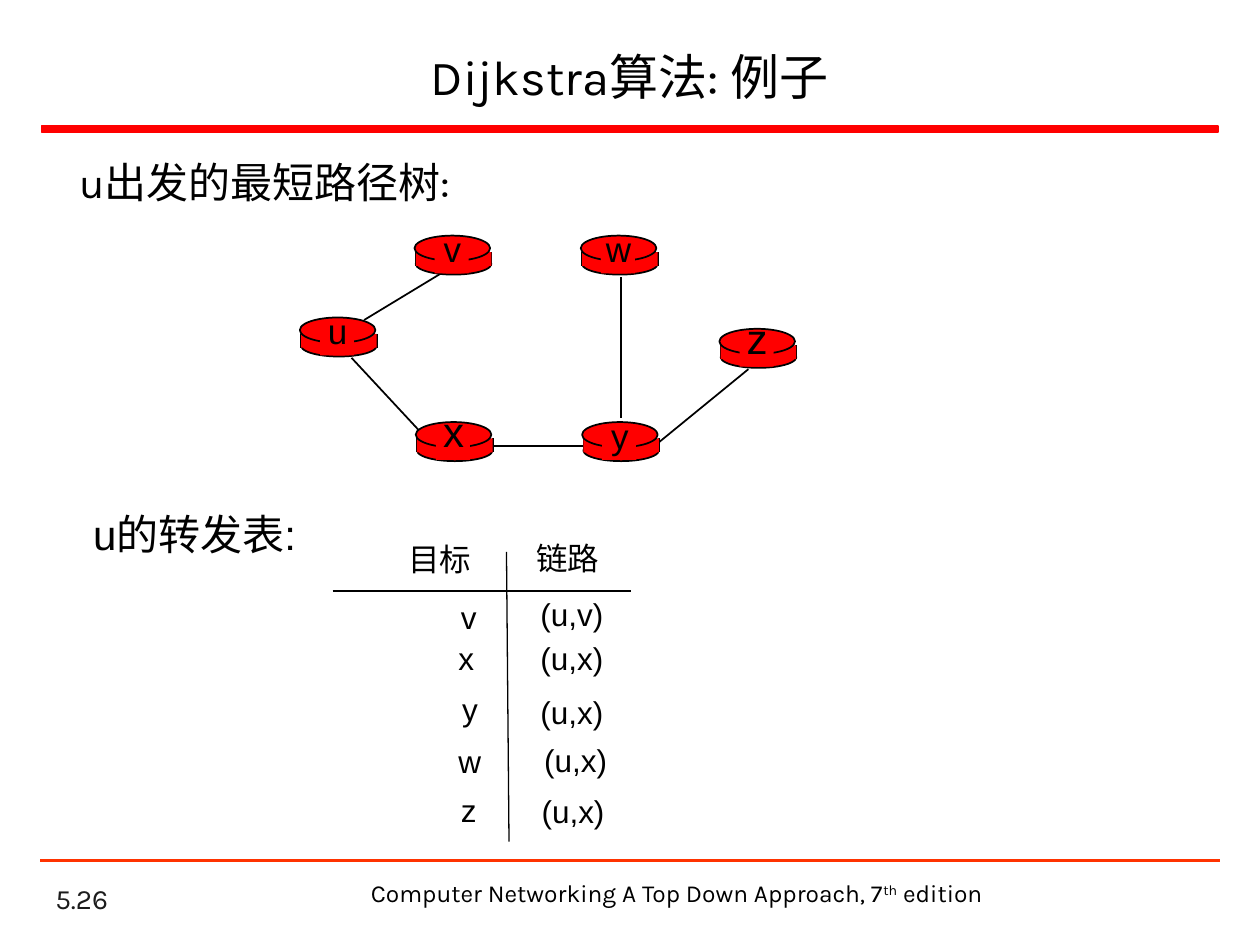
from typing import NamedTuple

from lxml import etree
from pptx import Presentation
from pptx import util as u
from pptx.dml.color import RGBColor
from pptx.enum import shapes, text
from pptx.oxml import ns

PX = 9144
BLACK = RGBColor(0x00, 0x00, 0x00)
RED = RGBColor(0xFF, 0x00, 0x00)
ORANGE = RGBColor(0xFF, 0x33, 0x00)
GRAY = RGBColor(0x1C, 0x1C, 0x1C)
RECT = shapes.MSO_SHAPE.RECTANGLE
OVAL = shapes.MSO_SHAPE.OVAL


class Box(NamedTuple):
    x: int
    y: int
    w: int
    h: int


class Line(NamedTuple):
    x1: int
    y1: int
    x2: int
    y2: int


class Router(NamedTuple):
    name: str
    x: int
    y: int
    size: int = 20


class Route(NamedTuple):
    target: str
    target_x: int
    target_y: int
    link: str
    link_x: int
    link_y: int


ROUTERS = [
    Router("u", 238, 252),
    Router("x", 330, 335, 24),
    Router("v", 329, 187),
    Router("w", 461, 187),
    Router("y", 462, 335),
    Router("z", 571, 261, 24),
]
EDGES = [
    Line(289, 254, 355, 214),
    Line(493, 220, 493, 332),
    Line(523, 351, 594, 293),
    Line(463, 354, 392, 354),
    Line(332, 341, 279, 284),
]
ROUTES = [
    Route("目标", 314, 424, "链路", 416, 423),
    Route("v", 356, 470, "(u,v)", 419, 467),
    Route("x", 354, 502, "(u,x)", 419, 502),
    Route("y", 357, 543, "(u,x)", 419, 545),
    Route("w", 354, 584, "(u,x)", 422, 583),
    Route("z", 356, 623, "(u,x)", 420, 624),
]


def emu(values: tuple) -> list:
    """Turn px lengths into EMU."""
    return [u.Emu(v * PX) for v in values]


def add_run(p, words: str, size: int, font: str, color: RGBColor = BLACK):
    """Append one formatted run."""
    r = p.add_run()
    r.text = words
    r.font.size = u.Pt(size)
    r.font.name = font
    r.font.color.rgb = color
    return r


def add_label(s, box: Box, words: str, size: int, font: str = "Arial",
              color: RGBColor = BLACK, align=text.PP_ALIGN.LEFT,
              anchor=text.MSO_ANCHOR.TOP):
    """Add a text box and return its paragraph."""
    tf = s.shapes.add_textbox(*emu(box)).text_frame
    tf.word_wrap = True
    tf.vertical_anchor = anchor
    p = tf.paragraphs[0]
    p.alignment = align
    add_run(p, words, size, font, color)
    return p


def add_solid(s, kind, box: Box, outline: RGBColor | None = None) -> None:
    """Add a red preset shape, outlined if a colour is given."""
    sp = s.shapes.add_shape(kind, *emu(box))
    sp.shadow.inherit = False
    sp.fill.solid()
    sp.fill.fore_color.rgb = RED
    if outline is None:
        sp.line.fill.background()
    else:
        sp.line.color.rgb = outline
        sp.line.width = u.Pt(1)


def add_line(s, line: Line, width: float = 1, color: RGBColor = BLACK) -> None:
    """Add a straight line without a shadow."""
    sp = s.shapes.add_connector(shapes.MSO_CONNECTOR.STRAIGHT, *emu(line))
    sp.line.color.rgb = color
    sp.line.width = u.Pt(width)
    etree.SubElement(sp._element.spPr, ns.qn("a:effectLst"))


def add_router(s, router: Router) -> None:
    """Draw a router as a flat cylinder with its name on top."""
    x, y = router.x, router.y
    add_solid(s, OVAL, Box(x + 1, y + 14, 60, 17), BLACK)
    for side in (x + 1, x + 61):
        add_line(s, Line(side, y + 13, side, y + 24))
    add_solid(s, RECT, Box(x + 1, y + 13, 60, 11))
    add_solid(s, OVAL, Box(x, y, 60, 20), BLACK)
    add_solid(s, RECT, Box(x + 16, y + 2, 27, 28))
    rise, height = (11, 44) if router.size == 20 else (18, 50)
    add_label(s, Box(x + 10, y - rise, 40, height), router.name, router.size,
              align=text.PP_ALIGN.CENTER)


def add_frame(s) -> None:
    """Fill the title and draw the rules and footer."""
    title = s.shapes.title
    title.left, title.top, title.width, title.height = emu(Box(37, 25, 925, 70))
    tf = title.text_frame
    tf.vertical_anchor = text.MSO_ANCHOR.MIDDLE
    p = tf.paragraphs[0]
    p.alignment = text.PP_ALIGN.CENTER
    add_run(p, "Dijkstra算法: 例子", 28, "Karla")
    add_solid(s, RECT, Box(33, 100, 934, 5), RED)
    add_line(s, Line(32, 683, 968, 683), 1.5, ORANGE)
    add_label(s, Box(34, 698, 208, 33), "5.26", 16, "Karla", GRAY,
              anchor=text.MSO_ANCHOR.BOTTOM)
    p = add_label(s, Box(283, 692, 508, 34),
                  "Computer Networking A Top Down Approach, 7", 14, "Karla",
                  align=text.PP_ALIGN.CENTER)
    r = add_run(p, "th", 14, "Karla")
    r.font._element.set("baseline", "30000")
    add_run(p, " edition", 14, "Karla")


def add_forwarding_table(s) -> None:
    """Draw the ruled forwarding table."""
    add_line(s, Line(402, 438, 404, 668), 0.75)
    add_line(s, Line(264, 469, 501, 469), 0.75)
    for route in ROUTES:
        add_label(s, Box(route.target_x, route.target_y, 76, 40), route.target, 18)
        add_label(s, Box(route.link_x, route.link_y, 76, 40), route.link, 18)


def main() -> None:
    """Build the slide and save it."""
    prs = Presentation()
    prs.slide_width, prs.slide_height = emu((1000, 750))
    s = prs.slides.add_slide(prs.slide_layouts[5])
    add_frame(s)
    for edge in EDGES:
        add_line(s, edge)
    for router in ROUTERS:
        add_router(s, router)
    add_label(s, Box(53, 119, 323, 51), "u出发的最短路径树:", 24, "Karla")
    add_forwarding_table(s)
    add_label(s, Box(64, 399, 189, 51), "u的转发表:", 24)
    prs.save("out.pptx")


if __name__ == "__main__":
    main()
